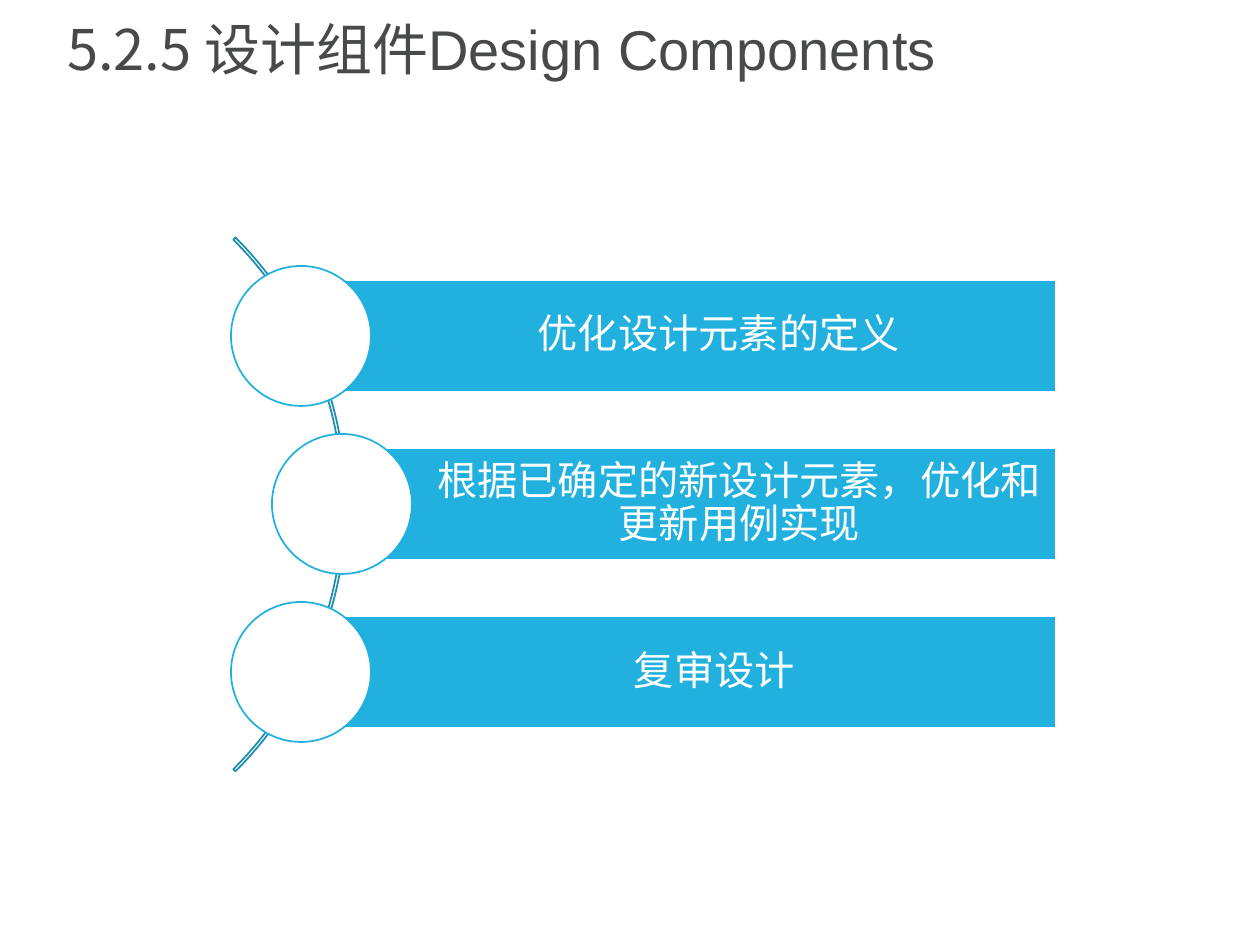
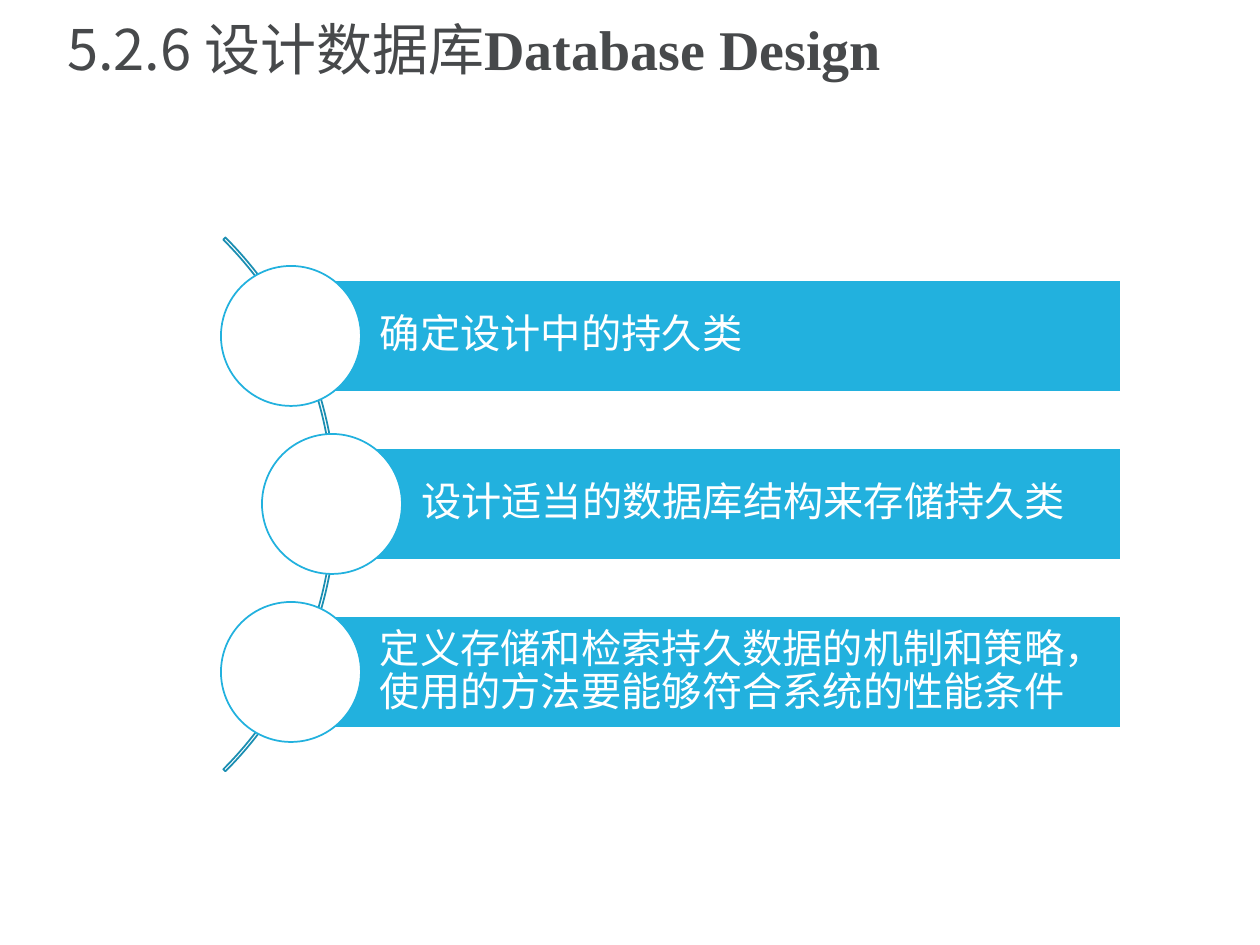
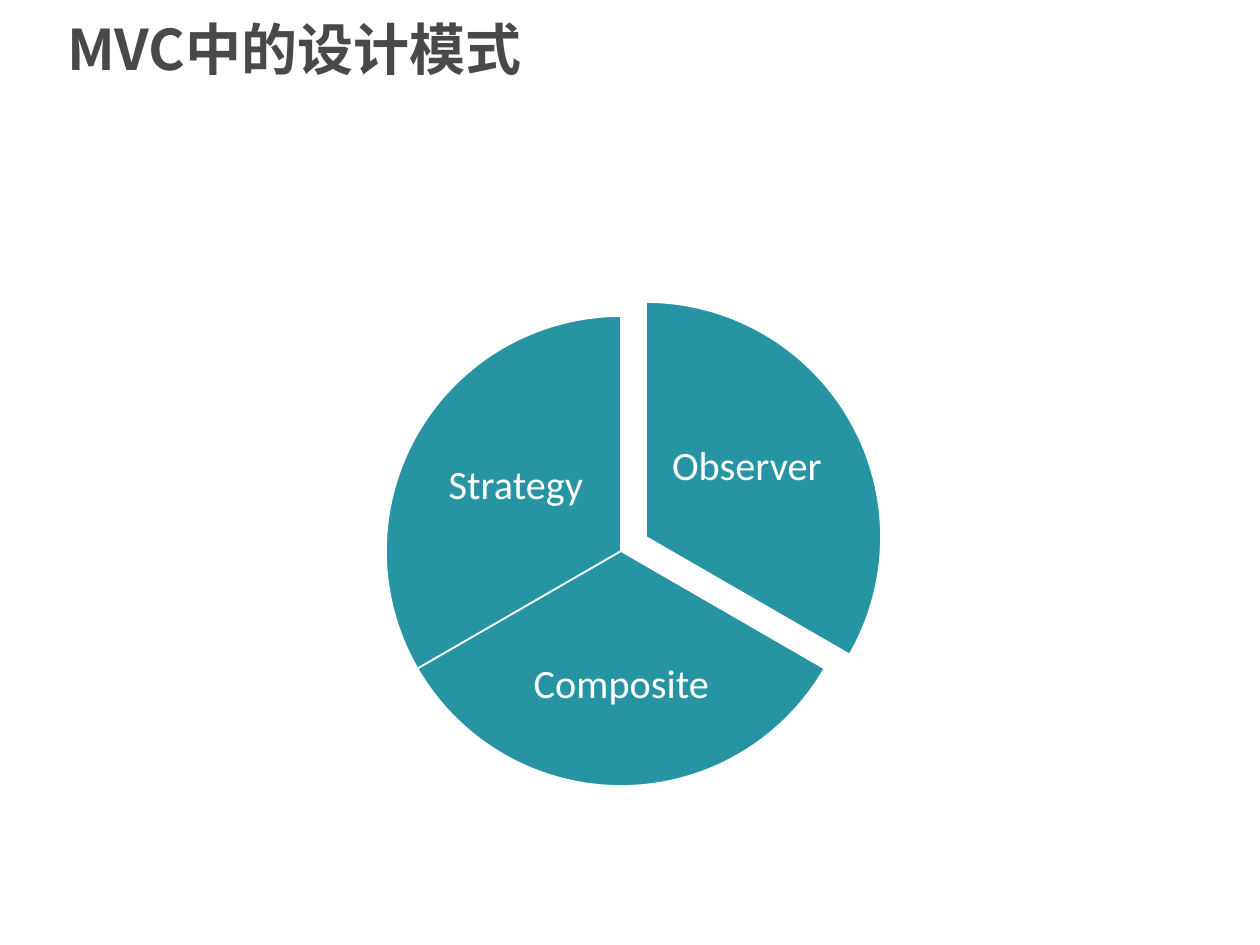
from lxml.etree import SubElement
from pptx import Presentation
from pptx.dml.color import RGBColor
from pptx.enum.shapes import MSO_SHAPE
from pptx.enum.text import MSO_ANCHOR, MSO_AUTO_SIZE, PP_ALIGN
from pptx.oxml.ns import qn
from pptx.util import Emu, Pt

COLORS = {
    "title": "47494B",
    "white": "FFFFFF",
    "bar": "22B1DE",
    "arc": "1B8EB2",
    "pie": "2794A4",
}
HAN_FONT = "Noto Sans CJK SC"
TITLE_FORMAT = {"size": Pt(32), "name": HAN_FONT, "bold": False}
LABEL_FORMAT = {"size": Pt(23), "name": "Calibri"}
SCALE = 914400 / 126  # EMU per px
TURN = 0.6  # adjustment units per degree


def add_preset(slide, kind, box, fill, line, angles=()):
    """Add a preset shape with flat fill, thin line and angle adjustments."""
    shape = slide.shapes.add_shape(kind, *[Emu(round(n * SCALE)) for n in box])
    shape.shadow.inherit = False
    if fill:
        shape.fill.solid()
        shape.fill.fore_color.rgb = RGBColor.from_string(COLORS[fill])
    else:
        shape.fill.background()
    shape.line.color.rgb = RGBColor.from_string(COLORS[line])
    shape.line.width = Pt(1)
    for index, angle in enumerate(angles):
        shape.adjustments[index] = angle * TURN
    return shape


def write_text(shape, runs, color, align, insets):
    """Write one paragraph of (text, format) runs; insets are in px."""
    frame = shape.text_frame
    frame.word_wrap = True
    frame.auto_size = MSO_AUTO_SIZE.NONE
    frame.vertical_anchor = MSO_ANCHOR.MIDDLE
    for side, inset in zip(("left", "top", "right", "bottom"), insets):
        setattr(frame, f"margin_{side}", Emu(round(inset * SCALE)))
    paragraph = frame.paragraphs[0]
    paragraph.alignment = align
    paragraph.line_spacing = 0.9
    for text, values in runs:
        run = paragraph.add_run()
        run.text = text
        for name, value in values.items():
            setattr(run.font, name, value)
        run.font.color.rgb = RGBColor.from_string(COLORS[color])
        SubElement(run.font._element, qn("a:ea"), typeface=HAN_FONT)


presentation = Presentation()
presentation.slide_width = Emu(round(1260 * SCALE))
presentation.slide_height = Emu(round(945 * SCALE))

# Slides and their titles
titles = [
    [("5.2.5 设计组件", {}), ("Design Components", {"name": "Arial"})],
    [("5.2.6 设计数据库", {}),
     ("Database Design", {"name": "Times New Roman", "bold": True})],
    [("MVC中的设计模式", {"bold": True})],
]
slides = []
for title_runs in titles:
    slide = presentation.slides.add_slide(presentation.slide_layouts[5])
    title = slide.shapes.title
    for name, length in {"left": 54, "top": 8, "width": 1140, "height": 88}.items():
        setattr(title, name, Emu(round(length * SCALE)))
    runs = [(text, TITLE_FORMAT | values) for text, values in title_runs]
    write_text(title, runs, "title", PP_ALIGN.LEFT, (13, 6, 13, 6))
    slides.append(slide)

# Curved lists: left of the outer circles, right end of the bars, alignment, items
curved_lists = [
    (231, 1056, PP_ALIGN.CENTER,
     ["优化设计元素的定义",
      "根据已确定的新设计元素，优化和更新用例实现",
      "复审设计 "]),
    (221, 1121, PP_ALIGN.LEFT,
     ["确定设计中的持久类",
      "设计适当的数据库结构来存储持久类",
      "定义存储和检索持久数据的机制和策略，使用的方法要能够符合系统的性能条件"]),
]
CIRCLE = 140
for slide, (list_left, bar_right, align, items) in zip(slides, curved_lists):
    arc = add_preset(slide, MSO_SHAPE.BLOCK_ARC, (list_left - 640, 127, 755, 755),
                     None, "arc", (315, 45))
    arc.adjustments[2] = 0.004
    for row, (item, shift) in enumerate(zip(items, (0, 41, 0))):
        circle_left = list_left + shift
        circle_top = 266 + 168 * row
        bar_left = circle_left + CIRCLE // 2
        bar = add_preset(slide, MSO_SHAPE.RECTANGLE,
                         (bar_left, circle_top + 14, bar_right - bar_left, 112),
                         "bar", "white")
        write_text(bar, [(item, LABEL_FORMAT)], "white", align, (89, 8, 8, 8))
        add_preset(slide, MSO_SHAPE.OVAL, (circle_left, circle_top, CIRCLE, CIRCLE),
                   "white", "bar")

# Pie of three equal sectors, the first pulled out
sectors = [
    ("Observer", (411, 302), (667, 389, 160, 156)),
    ("Composite", (386, 316), (515, 612, 213, 146)),
    ("Strategy", (386, 316), (436, 408, 160, 156)),
]
for index, (label, corner, label_box) in enumerate(sectors):
    start = (270 + 120 * index) % 360
    add_preset(slides[2], MSO_SHAPE.PIE, (*corner, 470, 470), "pie", "white",
               (start, (start + 120) % 360))
    label_shape = slides[2].shapes.add_textbox(
        *[Emu(round(n * SCALE)) for n in label_box])
    write_text(label_shape, [(label, LABEL_FORMAT)], "white", PP_ALIGN.CENTER,
               (4, 4, 4, 4))

presentation.save("out.pptx")
